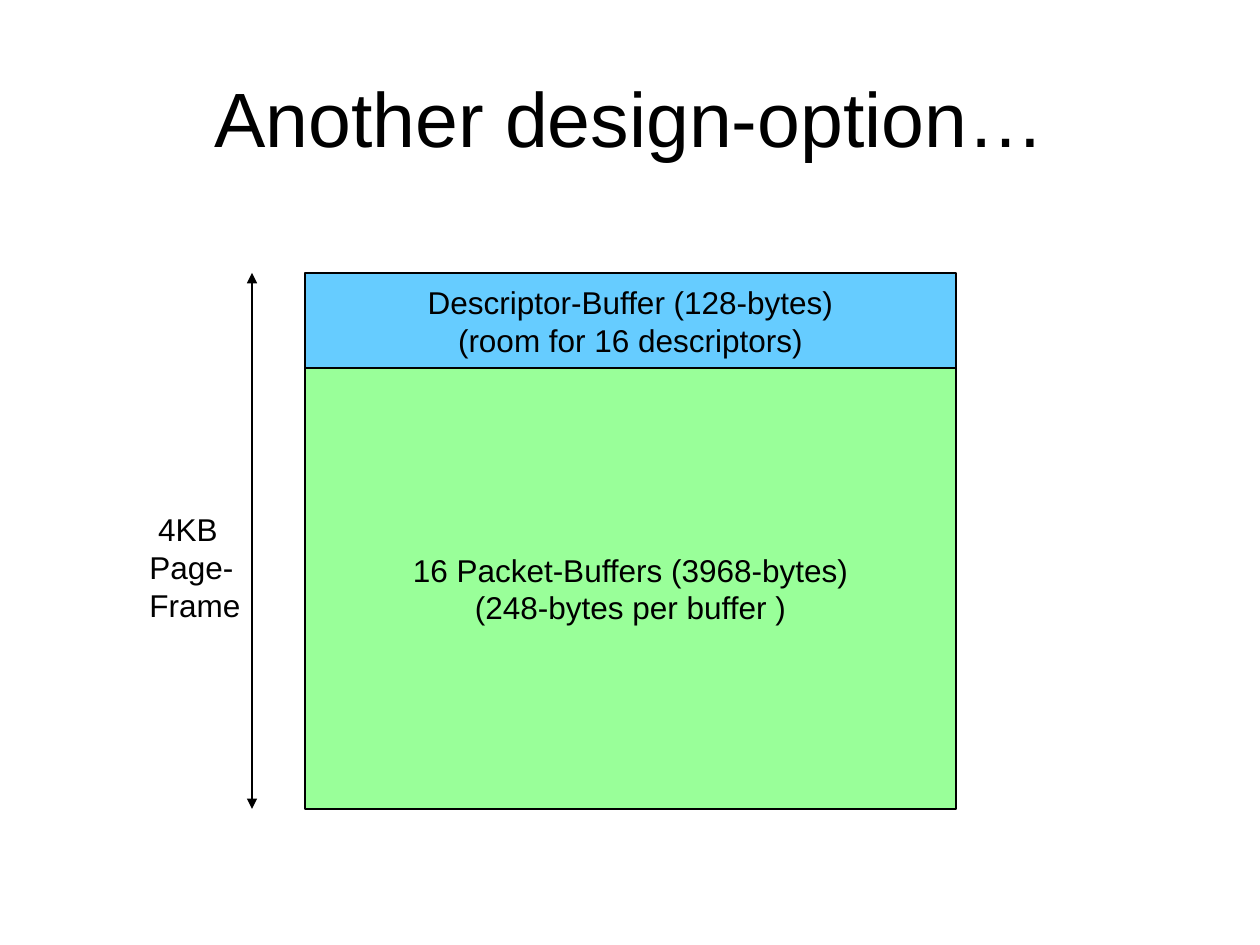
from dataclasses import dataclass

from lxml.etree import SubElement
from pptx import Presentation
from pptx.dml.color import RGBColor
from pptx.enum.shapes import MSO_CONNECTOR, MSO_SHAPE
from pptx.enum.text import MSO_ANCHOR, MSO_AUTO_SIZE, PP_ALIGN
from pptx.oxml.ns import qn
from pptx.util import Emu, Pt

PX_PER_INCH = 126


@dataclass(frozen=True)
class Theme:
    font: str = "Arial"
    ink: str = "000000"
    descriptors: str = "66CCFF"
    packets: str = "99FF99"
    title_size: int = 44
    body_size: int = 18
    line_width: float = 0.75


THEME = Theme()


def px(length):
    return Emu(round(length * 914400 / PX_PER_INCH))


def color(code):
    return RGBColor.from_string(code)


def write_text(frame, lines, size=THEME.body_size, align=PP_ALIGN.CENTER,
               anchor=MSO_ANCHOR.MIDDLE, wrap=False, fit=MSO_AUTO_SIZE.NONE):
    frame.word_wrap = wrap
    frame.auto_size = fit
    frame.vertical_anchor = anchor
    for index, line in enumerate(lines):
        para = frame.add_paragraph() if index else frame.paragraphs[0]
        para.alignment = align
        span = para.add_run()
        span.text = line
        span.font.name = THEME.font
        span.font.size = Pt(size)
        span.font.color.rgb = color(THEME.ink)


def style_line(line):
    line.color.rgb = color(THEME.ink)
    line.width = Pt(THEME.line_width)


def set_title(page, text, left, top, width, height):
    title = page.shapes.title
    title.left, title.top = px(left), px(top)
    title.width, title.height = px(width), px(height)
    write_text(title.text_frame, [text], size=THEME.title_size, wrap=True)


def add_region(page, lines, fill, left, top, width, height):
    region = page.shapes.add_shape(
        MSO_SHAPE.RECTANGLE, px(left), px(top), px(width), px(height))
    region.shadow.inherit = False
    region.fill.solid()
    region.fill.fore_color.rgb = color(fill)
    style_line(region.line)
    write_text(region.text_frame, lines)


def add_label(page, lines, left, top, width, height):
    box = page.shapes.add_textbox(px(left), px(top), px(width), px(height))
    write_text(box.text_frame, lines, align=PP_ALIGN.LEFT,
               anchor=MSO_ANCHOR.TOP, fit=MSO_AUTO_SIZE.SHAPE_TO_FIT_TEXT)


def add_span_arrow(page, x, top, bottom):
    """Draw a vertical line with an arrowhead at both ends."""
    arrow = page.shapes.add_connector(
        MSO_CONNECTOR.STRAIGHT, px(x), px(top), px(x), px(bottom))
    style_line(arrow.line)
    outline = arrow.line._get_or_add_ln()
    for end in ("a:headEnd", "a:tailEnd"):
        SubElement(outline, qn(end), type="triangle")
    SubElement(arrow._element.spPr, qn("a:effectLst"))


def main():
    deck = Presentation()
    deck.slide_width, deck.slide_height = px(1260), px(945)
    page = deck.slides.add_slide(deck.slide_layouts[5])

    left, width = 305, 651
    top, divider, bottom = 273, 368, 809

    set_title(page, "Another design-option…", 63, 38, 1134, 157)
    add_region(page, ["16 Packet-Buffers (3968-bytes)", "(248-bytes per buffer )"],
               THEME.packets, left, divider, width, bottom - divider)
    add_label(page, [" 4KB", "Page-", "Frame"], 137, 504, 116, 126)
    add_span_arrow(page, 252, top, bottom)
    add_region(page, ["Descriptor-Buffer (128-bytes)", "(room for 16 descriptors)"],
               THEME.descriptors, left, top, width, divider - top)

    deck.save("out.pptx")


if __name__ == "__main__":
    main()
